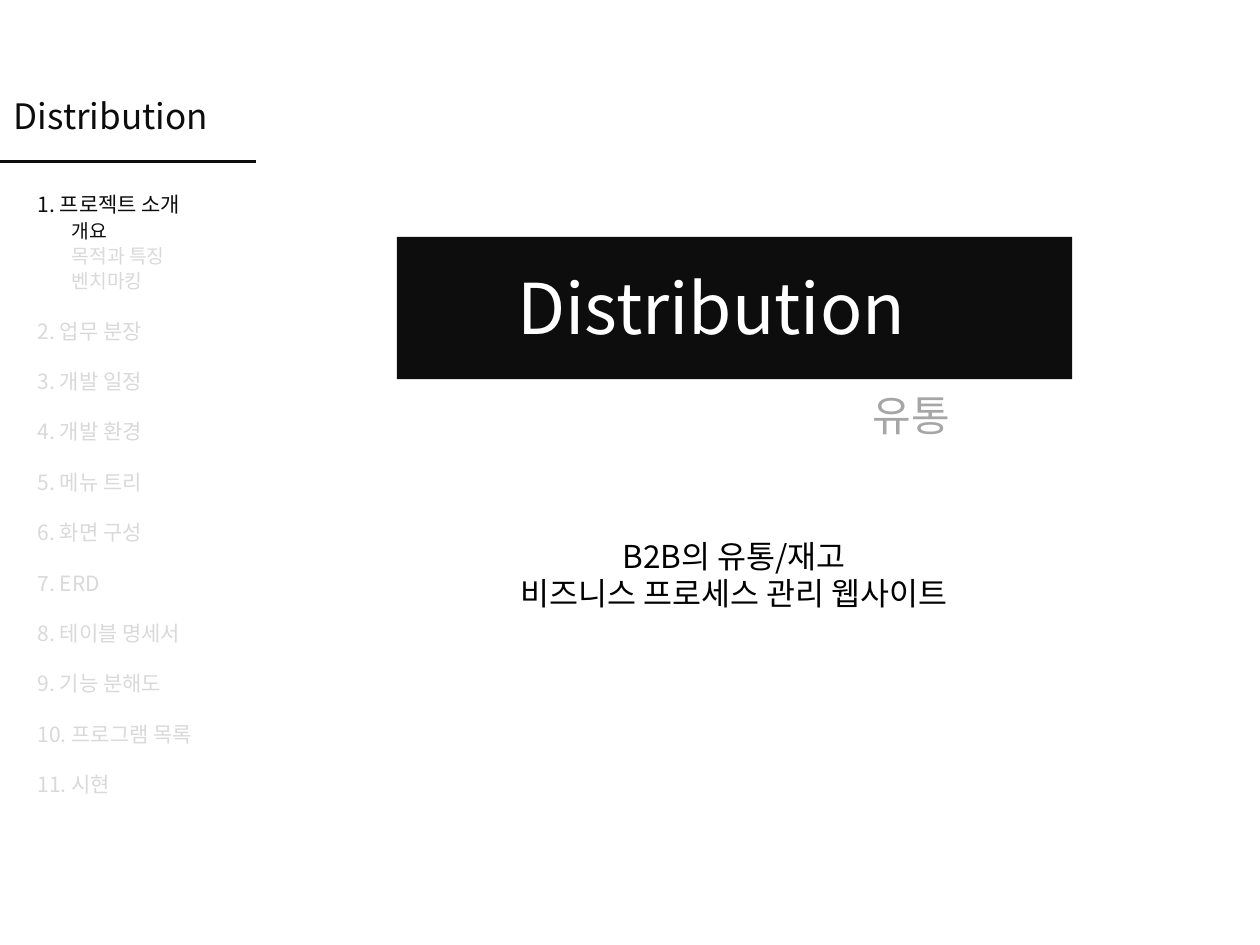
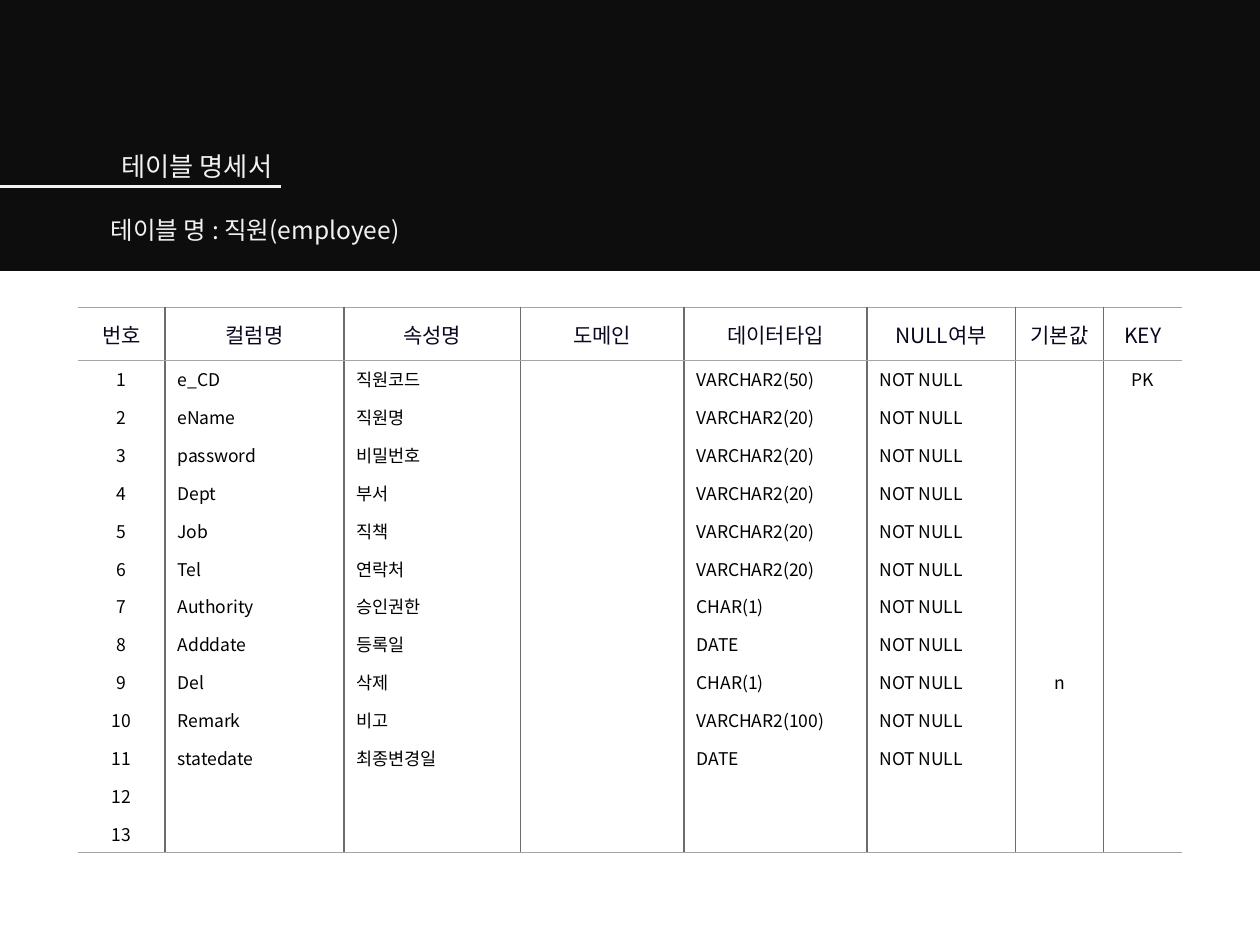
import pptx
import pptx.util
import pptx.dml.color
import pptx.enum.shapes
import pptx.enum.text
import pptx.oxml.ns
from lxml import etree

Inches, Pt = pptx.util.Inches, pptx.util.Pt
RGBColor = pptx.dml.color.RGBColor
PP_ALIGN, MSO_ANCHOR = pptx.enum.text.PP_ALIGN, pptx.enum.text.MSO_ANCHOR
qn = pptx.oxml.ns.qn

FONT = "Noto Sans CJK KR"
LEADING = 1.2  # line height as a multiple of the text size
BLACK = RGBColor(0x00, 0x00, 0x00)
INK = RGBColor(0x0D, 0x0D, 0x0D)
NAVY = RGBColor(0x0B, 0x07, 0x20)
WHITE = RGBColor(0xFF, 0xFF, 0xFF)
PALE = RGBColor(0xF2, 0xF2, 0xF2)
FADED = RGBColor(0xD9, 0xD9, 0xD9)
GREY = RGBColor(0xA6, 0xA6, 0xA6)
RULE = RGBColor(0xA5, 0xA5, 0xA5)
DIVIDER = RGBColor(0x6C, 0x6C, 0x6C)

# Sidebar: sections, and the topics of the first one
SECTIONS = ["프로젝트 소개", "업무 분장", "개발 일정", "개발 환경", "메뉴 트리", "화면 구성",
            "ERD", "테이블 명세서", "기능 분해도", "프로그램 목록", "시현"]
TOPICS = ["개요", "목적과 특징", "벤치마킹"]

# Table specification: column name, attribute, data type, default, key
HEADERS = ["번호", "컬럼명", "속성명", "도메인", "데이터타입", "NULL여부", "기본값", "KEY"]
COL_WIDTHS = [0.69, 1.42, 1.4, 1.3, 1.45, 1.18, 0.7, 0.62]
CENTRED_COLS = (0, 6, 7)
ROW_COUNT = 13
FIELDS = [
    ("e_CD", "직원코드", "VARCHAR2(50)", "", "PK"),
    ("eName", "직원명", "VARCHAR2(20)", "", ""),
    ("password", "비밀번호", "VARCHAR2(20)", "", ""),
    ("Dept", "부서", "VARCHAR2(20)", "", ""),
    ("Job", "직책", "VARCHAR2(20)", "", ""),
    ("Tel", "연락처", "VARCHAR2(20)", "", ""),
    ("Authority", "승인권한", "CHAR(1)", "", ""),
    ("Adddate", "등록일", "DATE", "", ""),
    ("Del", "삭제", "CHAR(1)", "n", ""),
    ("Remark", "비고", "VARCHAR2(100)", "", ""),
    ("statedate", "최종변경일", "DATE", "", ""),
]


def write(p, text, size=12, color=INK, align=None, spacing=None, indent=0):
    """Fill a paragraph; spacing is a multiple of the normal line height."""
    if align is not None:
        p.alignment = align
    if spacing:
        p.line_spacing = Pt(round(size * LEADING * spacing, 1))
    if indent:
        p._p.get_or_add_pPr().set("marL", str(Inches(indent)))
    if not text:
        etree.SubElement(p._p, qn("a:endParaRPr"), sz=str(size * 100))
        return
    r = p.add_run()
    r.text = text
    r.font.size = Pt(size)
    r.font.name = FONT
    r.font.color.rgb = color
    etree.SubElement(r._r.get_or_add_rPr(), qn("a:ea"), typeface=FONT)


def set_borders(cell, **edges):
    """Draw the named edges (L, R, T, B) and clear those given as None."""
    tcPr = cell._tc.get_or_add_tcPr()
    for side in "LRTB":
        ln = etree.SubElement(tcPr, qn("a:ln" + side), w=str(Pt(1)))
        color = edges.get(side)
        if color is None:
            etree.SubElement(ln, qn("a:noFill"))
        else:
            fill = etree.SubElement(ln, qn("a:solidFill"))
            etree.SubElement(fill, qn("a:srgbClr"), val=str(color))


class Deck:
    def __init__(self):
        self.prs = pptx.Presentation()
        self.prs.slide_width, self.prs.slide_height = Inches(10), Inches(7.5)
        self.s = None

    def new_slide(self):
        self.s = self.prs.slides.add_slide(self.prs.slide_layouts[6])

    def band(self, x, y, w, h):
        sp = self.s.shapes.add_shape(pptx.enum.shapes.MSO_SHAPE.RECTANGLE,
                                     Inches(x), Inches(y), Inches(w), Inches(h))
        sp.shadow.inherit = False
        sp.fill.solid()
        sp.fill.fore_color.rgb = INK
        sp.line.fill.background()

    def rule(self, y, length, color):
        """Horizontal rule from the left edge of the slide."""
        ln = self.s.shapes.add_connector(pptx.enum.shapes.MSO_CONNECTOR.STRAIGHT,
                                         0, Inches(y), Inches(length), Inches(y))
        ln.line.color.rgb = color
        ln.line.width = Pt(1.5)
        etree.SubElement(ln._element.spPr, qn("a:effectLst"))

    def text(self, x, y, w, h, *lines, **style):
        """Text box; a line is a string or a (string, own style) pair."""
        tf = self.s.shapes.add_textbox(Inches(x), Inches(y), Inches(w), Inches(h)).text_frame
        tf.word_wrap = True
        for i, line in enumerate(lines):
            text, own = (line, {}) if isinstance(line, str) else line
            p = tf.add_paragraph() if i else tf.paragraphs[0]
            write(p, text, **{"spacing": 1, **style, **own})

    def table(self, x, y, widths, rows, head_h, row_h):
        height = head_h + row_h * (len(rows) - 1)
        table = self.s.shapes.add_table(len(rows), len(widths), Inches(x), Inches(y),
                                        Inches(sum(widths)), Inches(height)).table
        table.first_row = table.horz_banding = False
        for col, width in zip(table.columns, widths):
            col.width = Inches(width)
        last_row, last_col = len(rows) - 1, len(widths) - 1
        for i, row in enumerate(rows):
            head = i == 0
            table.rows[i].height = Inches(head_h if head else row_h)
            for j, text in enumerate(row):
                cell = table.cell(i, j)
                cell.vertical_anchor = MSO_ANCHOR.MIDDLE
                set_borders(cell,
                            L=DIVIDER if j > 0 else None,
                            R=DIVIDER if j < last_col else None,
                            T=RULE if i <= 1 else None,
                            B=RULE if i in (0, last_row) else None)
                cell.fill.background()
                centred = head or j in CENTRED_COLS
                write(cell.text_frame.paragraphs[0], text,
                      size=12 if head else 10, color=NAVY if head else BLACK,
                      align=PP_ALIGN.CENTER if centred else PP_ALIGN.LEFT)


def build_intro(deck):
    deck.new_slide()
    deck.band(3.15, 1.88, 5.36, 1.13)

    # Sidebar with the current section and topic in dark ink
    deck.rule(1.28, 2.03, INK)
    deck.text(0.01, 0.7, 1.92, 0.44, "Distribution", size=20)
    sections = [f"{n}. {name}" for n, name in enumerate(SECTIONS, 1)]
    topics = [(name, dict(size=11, spacing=1.1, indent=0.27, color=INK if i == 0 else FADED))
              for i, name in enumerate(TOPICS)]
    deck.text(0.2, 1.47, 1.45, 4.95,
              (sections[0], dict(color=INK, spacing=1)), *topics, *sections[1:],
              color=FADED, spacing=2)

    # Project title and summary
    deck.text(4.02, 4.21, 3.61, 0.71, "B2B의 유통/재고", "비즈니스 프로세스 관리 웹사이트",
              size=18, color=BLACK, align=PP_ALIGN.CENTER)
    deck.text(4.01, 2.05, 3.65, 0.77, "Distribution", size=40, color=WHITE)
    deck.text(6.83, 3.04, 0.82, 0.5, "유통", size=24, color=GREY)


def build_table_spec(deck):
    deck.new_slide()
    deck.band(0, 0, 10, 2.15)

    # Column specification, padded with numbered empty rows
    rows = [HEADERS]
    for n in range(1, ROW_COUNT + 1):
        if n <= len(FIELDS):
            name, attribute, data_type, default, key = FIELDS[n - 1]
            rows.append([str(n), name, attribute, "", data_type, "NOT NULL", default, key])
        else:
            rows.append([str(n)] + [""] * (len(HEADERS) - 1))
    deck.table(0.62, 2.44, COL_WIDTHS, rows, head_h=0.42, row_h=0.3)

    # Heading
    deck.rule(1.48, 2.23, PALE)
    deck.text(0.78, 1.02, 1.48, 0.44, "테이블 명세서",
              size=15, color=PALE, align=PP_ALIGN.RIGHT, spacing=1.5)
    deck.text(0.78, 1.66, 3.4, 0.34, "테이블 명 : 직원(employee)", size=14, color=PALE)


def main():
    deck = Deck()
    build_intro(deck)
    build_table_spec(deck)
    deck.prs.save("out.pptx")


if __name__ == "__main__":
    main()
